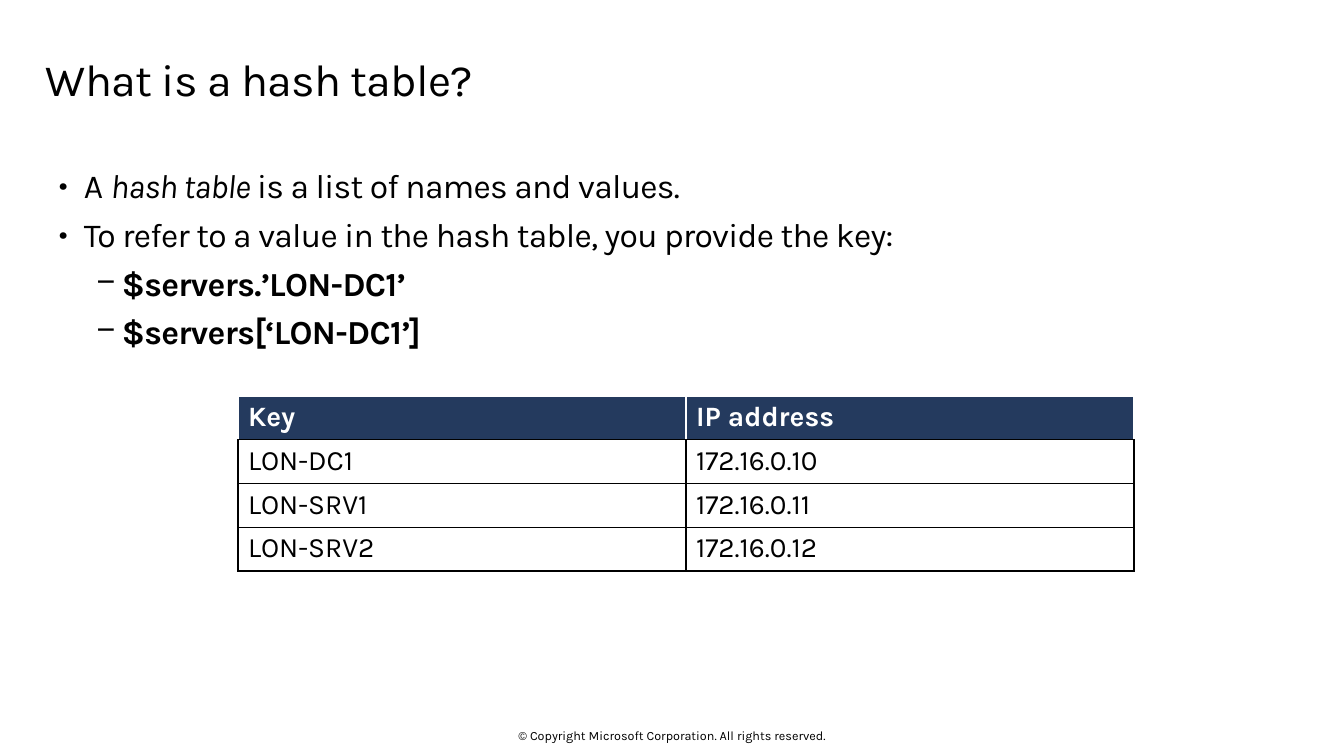
from lxml import etree
from pptx import Presentation
from pptx.dml.color import RGBColor
from pptx.enum.text import MSO_ANCHOR, PP_ALIGN
from pptx.oxml.ns import qn
from pptx.util import Emu, Pt

TOP, MIDDLE = MSO_ANCHOR.TOP, MSO_ANCHOR.MIDDLE
LEFT, CENTER = PP_ALIGN.LEFT, PP_ALIGN.CENTER

FONT = "Karla"
BLACK, WHITE, NAVY = "000000", "FFFFFF", "243A5E"

COPYRIGHT = "© Copyright Microsoft Corporation. All rights reserved."
TITLE = "What is a hash table?"
BULLETS = [
    (0, [("A ", {}), ("hash table ", {"italic": True}),
         ("is a list of names and values.", {})]),
    (0, [("To refer to a value in the hash table, you provide the key:", {})]),
    (1, [("$servers.’LON-DC1’", {"bold": True})]),
    (1, [("$servers[‘LON-DC1’]", {"bold": True})]),
]
BULLET_LEVELS = [("•", 38), ("‒", 76)]
HANGING = 25
SERVERS = [
    ("Key", "IP address"),
    ("LON-DC1", "172.16.0.10"),
    ("LON-SRV1", "172.16.0.11"),
    ("LON-SRV2", "172.16.0.12"),
]
TABLE_LEFT, TABLE_TOP, COLUMN_WIDTH, ROW_HEIGHT = 238, 396, 448, 43


def px(length):
    return Emu(round(length * 914400 / 100.8))


def color(value):
    return RGBColor.from_string(value)


def add_run(paragraph, text, size, hue=BLACK, spacing=0, **formats):
    run = paragraph.add_run()
    run.text = text
    for name, value in {"name": FONT, "size": Pt(size), **formats}.items():
        setattr(run.font, name, value)
    run.font.color.rgb = color(hue)
    if spacing:
        run.font._element.set("spc", str(spacing))


def add_text_box(slide, box, insets, anchor=TOP):
    frame = slide.shapes.add_textbox(*map(px, box)).text_frame
    sides = ("margin_left", "margin_top", "margin_right", "margin_bottom")
    formats = {"word_wrap": True, "vertical_anchor": anchor,
               **dict(zip(sides, map(px, insets)))}
    for name, value in formats.items():
        setattr(frame, name, value)
    return frame


def add_bullet(paragraph, level):
    mark, margin = BULLET_LEVELS[level]
    properties = paragraph._p.get_or_add_pPr()
    properties.set("marL", str(px(margin)))
    properties.set("indent", str(-px(HANGING)))
    for tag, key, value in (("a:buSzPct", "val", "95000"),
                            ("a:buFont", "typeface", FONT),
                            ("a:buChar", "char", mark)):
        etree.SubElement(properties, qn(tag)).set(key, value)


def set_borders(cell, hues):
    properties = cell._tc.get_or_add_tcPr()
    for position, (side, hue) in enumerate(zip("LRTB", hues)):
        line = etree.Element(qn(f"a:ln{side}"), w=str(Pt(1)))
        fill = etree.SubElement(line, qn("a:solidFill"))
        etree.SubElement(fill, qn("a:srgbClr"), val=hue)
        properties.insert(position, line)


def add_server_table(slide):
    rows, columns = len(SERVERS), len(SERVERS[0])
    table = slide.shapes.add_table(
        rows, columns, px(TABLE_LEFT), px(TABLE_TOP),
        px(columns * COLUMN_WIDTH), px(rows * ROW_HEIGHT)).table
    table.horz_banding = False
    for column in table.columns:
        column.width = px(COLUMN_WIDTH)
    for row_index, values in enumerate(SERVERS):
        table.rows[row_index].height = px(ROW_HEIGHT)
        header = row_index == 0
        for column_index, value in enumerate(values):
            cell = table.cell(row_index, column_index)
            cell.fill.solid()
            cell.fill.fore_color.rgb = color(NAVY if header else WHITE)
            set_borders(cell, [WHITE] * 3 + [BLACK] if header else [BLACK] * 4)
            add_run(cell.text_frame.paragraphs[0], value, 20,
                    WHITE if header else BLACK, bold=header)


def main():
    presentation = Presentation()
    presentation.slide_width, presentation.slide_height = px(1344), px(756)
    slide = presentation.slides.add_slide(presentation.slide_layouts[6])

    footer = add_text_box(slide, (445, 728, 454, 15), (0, 0, 0, 0), MIDDLE)
    footer.paragraphs[0].alignment = CENTER
    add_run(footer.paragraphs[0], COPYRIGHT, 9)

    title = add_text_box(slide, (46, 48, 1250, 75), (0, 10, 16, 10))
    title.paragraphs[0].line_spacing = 0.9
    add_run(title.paragraphs[0], TITLE, 32, spacing=-50)

    body = add_text_box(slide, (46, 160, 1252, 199), (0, 5, 0, 5))
    for index, (level, runs) in enumerate(BULLETS):
        paragraph = body.add_paragraph() if index else body.paragraphs[0]
        add_bullet(paragraph, level)
        paragraph.alignment = LEFT
        if index:
            paragraph.space_before = Pt(6)
        for text, formats in runs:
            add_run(paragraph, text, 24, spacing=-50, **formats)

    add_server_table(slide)
    presentation.save("out.pptx")


if __name__ == "__main__":
    main()
